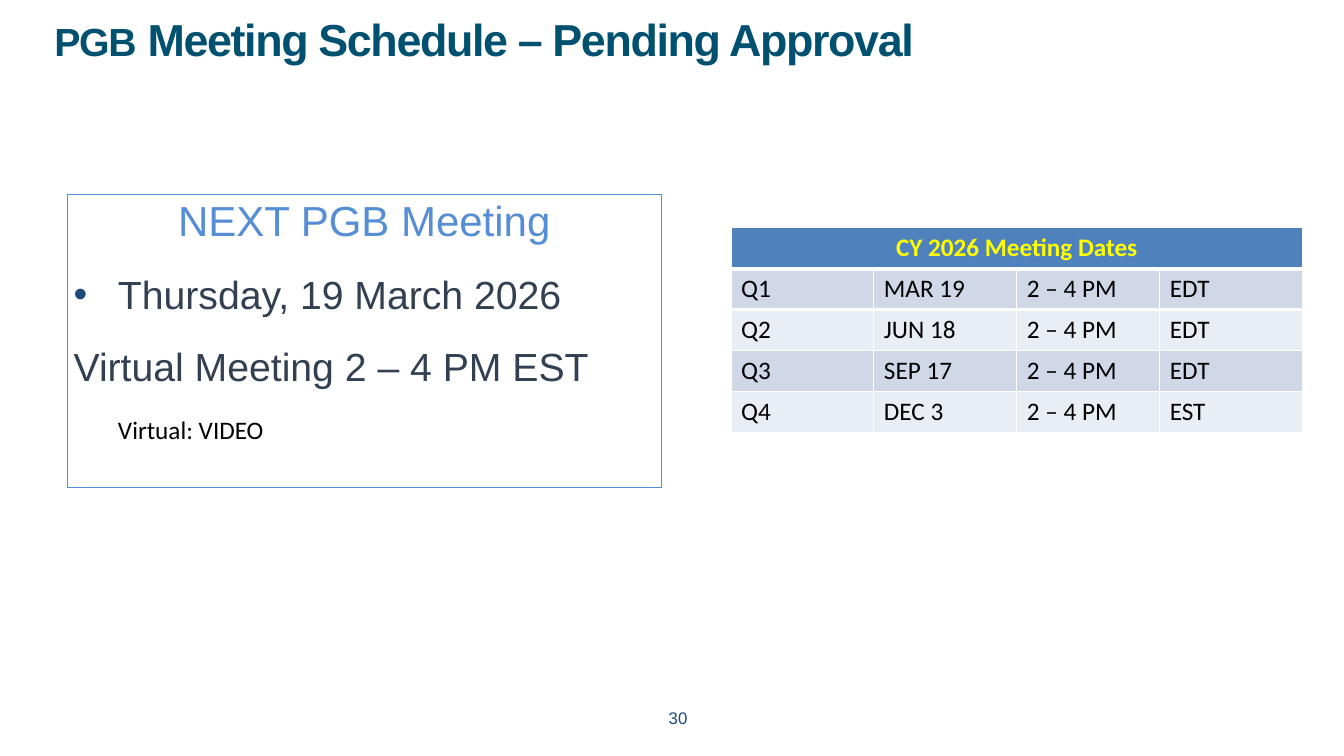
from lxml.etree import SubElement
from pptx import Presentation
from pptx.dml.color import RGBColor
from pptx.enum.text import MSO_ANCHOR, MSO_AUTO_SIZE, PP_ALIGN as Align
from pptx.oxml.ns import qn
from pptx.util import Inches, Pt

TEAL = RGBColor(0x00, 0x51, 0x70)
SKY = RGBColor(0x55, 0x8E, 0xD5)
NAVY = RGBColor(0x1F, 0x49, 0x7D)
SLATE = RGBColor(0x33, 0x40, 0x52)
BLACK = RGBColor(0x00, 0x00, 0x00)
WHITE = RGBColor(0xFF, 0xFF, 0xFF)
YELLOW = RGBColor(0xFF, 0xFF, 0x00)
HEADER_BLUE = RGBColor(0x4F, 0x81, 0xBD)
BANDS = RGBColor(0xD0, 0xD8, 0xE8), RGBColor(0xE9, 0xED, 0xF4)


def add_text(paragraph, text, *, size, color, font="Arial", bold=False,
             align=Align.LEFT, tracking=None):
    paragraph.alignment = align
    run = paragraph.add_run()
    run.text = text
    run.font.name = font
    run.font.size = Pt(size)
    run.font.bold = bold
    run.font.color.rgb = color
    if tracking is not None:
        run.font._element.set("spc", str(tracking * 100))


def set_indent(paragraph, margin, first_line, bullet=None, bullet_color=None):
    properties = paragraph._p.get_or_add_pPr()
    properties.set("marL", str(Inches(margin)))
    properties.set("indent", str(Inches(first_line)))
    if bullet is None:
        SubElement(properties, qn("a:buNone"))
        return
    color = SubElement(properties, qn("a:buClr"))
    SubElement(color, qn("a:srgbClr"), val=str(bullet_color))
    SubElement(properties, qn("a:buFont"), typeface="Arial")
    SubElement(properties, qn("a:buChar"), char=bullet)


def set_border(cell, side, color, width):
    """Draw one cell edge; side is an element name such as a:lnB."""
    properties = cell._tc.get_or_add_tcPr()
    edge = SubElement(properties, qn(side), w=str(Pt(width)))
    fill = SubElement(edge, qn("a:solidFill"))
    SubElement(fill, qn("a:srgbClr"), val=str(color))
    properties.insert(0, edge)


def place(shape, left, top, width, height):
    shape.left, shape.top = Inches(left), Inches(top)
    shape.width, shape.height = Inches(width), Inches(height)


class ScheduleSlide:
    def __init__(self, presentation):
        self.slide = presentation.slides.add_slide(presentation.slide_layouts[1])

    def title(self, box, *parts):
        heading = self.slide.shapes.title
        place(heading, *box)
        frame = heading.text_frame
        frame.auto_size = MSO_AUTO_SIZE.NONE
        frame.vertical_anchor = MSO_ANCHOR.TOP
        for text, size in parts:
            add_text(frame.paragraphs[0], text, size=size, color=TEAL,
                     bold=True, tracking=-1)

    def next_meeting(self, box, lines):
        panel = self.slide.placeholders[1]
        place(panel, *box)
        panel.line.color.rgb = SKY
        panel.line.width = Pt(0.75)
        frame = panel.text_frame
        frame.auto_size = MSO_AUTO_SIZE.NONE
        frame.margin_left = frame.margin_right = 0
        frame.margin_top = frame.margin_bottom = 0
        for number, (text, level, indent, style) in enumerate(lines):
            paragraph = frame.add_paragraph() if number else frame.paragraphs[0]
            paragraph.level = level
            paragraph.space_before, paragraph.space_after = Pt(6), Pt(12)
            set_indent(paragraph, *indent)
            add_text(paragraph, text, **style)

    def dates_table(self, box, header, rows):
        table = self.slide.shapes.add_table(
            len(rows) + 1, len(rows[0]), *map(Inches, box)).table
        title_cell = table.cell(0, 0)
        title_cell.merge(table.cell(0, len(rows[0]) - 1))
        self.fill_cell(title_cell, header, HEADER_BLUE, color=YELLOW,
                       bold=True, align=Align.CENTER)
        for row, values in enumerate(rows, start=1):
            for column, value in enumerate(values):
                self.fill_cell(table.cell(row, column), value,
                               BANDS[(row - 1) % 2], color=BLACK)
        for column in range(len(rows[0])):
            set_border(table.cell(0, column), "a:lnB", WHITE, 3)
            set_border(table.cell(1, column), "a:lnT", WHITE, 3)

    def fill_cell(self, cell, text, background, **style):
        cell.fill.solid()
        cell.fill.fore_color.rgb = background
        add_text(cell.text_frame.paragraphs[0], text, size=18,
                 font="Calibri", **style)

    def page_number(self, box, number):
        frame = self.slide.shapes.add_textbox(*map(Inches, box)).text_frame
        frame.word_wrap = True
        add_text(frame.paragraphs[0], number, size=12, color=NAVY,
                 align=Align.CENTER)


def main():
    presentation = Presentation()
    presentation.slide_width = Inches(13.33)
    presentation.slide_height = Inches(7.5)
    schedule = ScheduleSlide(presentation)

    schedule.title((0.44, 0.07, 11.93, 1.06),
                   ("PGB", 28), (" Meeting Schedule – Pending Approval", 32))

    details = dict(size=28, color=SLATE)
    schedule.next_meeting((0.67, 1.93, 5.89, 2.91), [
        ("NEXT PGB Meeting", 0, (0, 0),
         dict(size=30, color=SKY, align=Align.CENTER)),
        ("Thursday, 19 March 2026", 0, (0.5, -0.44, "•", NAVY), details),
        ("Virtual Meeting 2 – 4 PM EST", 0, (0.5, -0.44), details),
        ("Virtual: VIDEO", 1, (0.94, -0.44),
         dict(size=18, color=BLACK, font="Calibri")),
    ])

    schedule.page_number((5.17, 6.97, 3.11, 0.4), "30")

    hours = "2 – 4 PM"
    schedule.dates_table((7.25, 2.26, 5.67, 2.03), "CY 2026 Meeting Dates", [
        ("Q1", "MAR 19", hours, "EDT"),
        ("Q2", "JUN 18", hours, "EDT"),
        ("Q3", "SEP 17", hours, "EDT"),
        ("Q4", "DEC 3", hours, "EST"),
    ])
    presentation.save("out.pptx")


if __name__ == "__main__":
    main()
